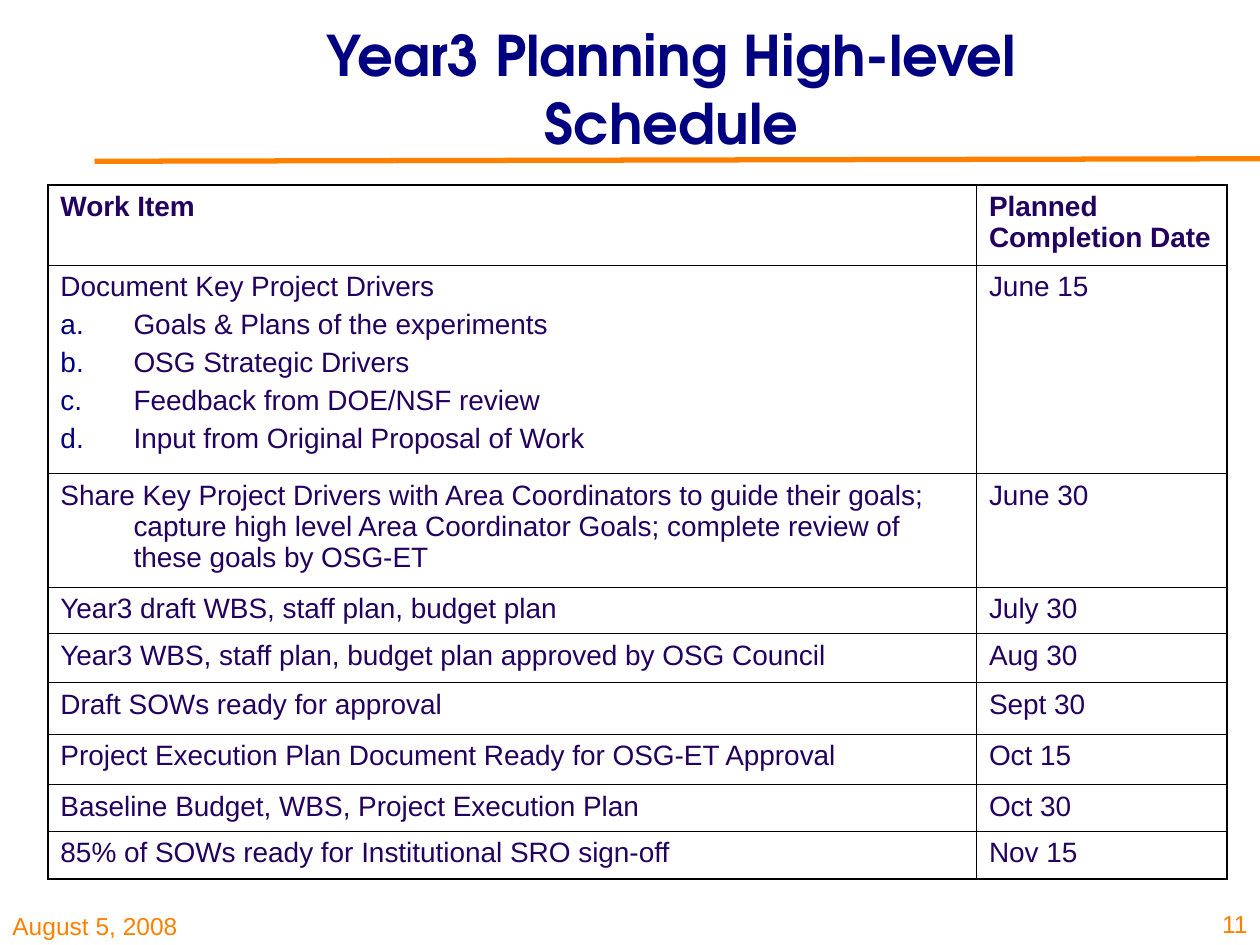
from lxml.etree import SubElement
from pptx import Presentation
from pptx.dml.color import RGBColor
from pptx.enum.shapes import MSO_CONNECTOR as Link
from pptx.enum.text import MSO_ANCHOR as Anchor, PP_ALIGN as Align
from pptx.oxml.ns import qn
from pptx.util import Inches, Pt

NAVY, PLUM, ORANGE, BLACK = "000080", "23005F", "FF8000", "000000"
THIN, THICK = 0.45, 1.08
HANG = 0.58

TEXTS = [
    ("August 5, 2008", (0, 7.09, 2.48, 0.42), Anchor.BOTTOM, Align.LEFT, 14, "Arial", ORANGE, False),
    ("Year3 Planning High-level Schedule", (1.53, 0.23, 7.6, 0.94), Anchor.MIDDLE, Align.CENTER,
     32, "TeX Gyre Adventor", NAVY, True),
    ("11", (9.54, 7, 0.46, 0.5), Anchor.BOTTOM, Align.RIGHT, 14, "Arial", ORANGE, False),
]
COLS = [7.37, 1.99]
ROWS = [
    (0.63, "Work Item", "Planned Completion Date"),
    (1.65, "Document Key Project Drivers\nGoals & Plans of the experiments\nOSG Strategic Drivers\n"
           "Feedback from DOE/NSF review\nInput from Original Proposal of Work", "June 15"),
    (0.9, "Share Key Project Drivers with Area Coordinators to guide their goals; capture high level "
          "Area Coordinator Goals; complete review of these goals by OSG-ET", "June 30"),
    (0.37, "Year3 draft WBS, staff plan, budget plan", "July 30"),
    (0.39, "Year3 WBS, staff plan, budget plan approved by OSG Council", "Aug 30"),
    (0.41, "Draft SOWs ready for approval", "Sept 30"),
    (0.4, "Project Execution Plan Document Ready for OSG-ET Approval", "Oct 15"),
    (0.37, "Baseline Budget, WBS, Project Execution Plan", "Oct 30"),
    (0.38, "85% of SOWs ready for Institutional SRO sign-off", "Nov 15"),
]
HANGING = {1, 2}


def rgb(code):
    return RGBColor.from_string(code)


def style(para, size, face, color, bold):
    font = para.font
    font.size, font.name, font.bold = Pt(size), face, bold
    font.color.rgb = rgb(color)


def add_text(slide, text, place, anchor, align, *look):
    frame = slide.shapes.add_textbox(*map(Inches, place)).text_frame
    frame.word_wrap = True
    frame.vertical_anchor = anchor
    frame.text = text
    para = frame.paragraphs[0]
    para.alignment = align
    style(para, *look)


def add_rule(slide):
    rule = slide.shapes.add_connector(Link.STRAIGHT, *map(Inches, (0.75, 1.28, 10, 1.26)))
    rule.line.color.rgb = rgb(ORANGE)
    rule.line.width = Pt(3)
    SubElement(rule.element.spPr, qn("a:effectLst"))


def add_edges(cell, widths):
    props = cell._tc.get_or_add_tcPr()
    for spot, (side, width) in enumerate(widths.items()):
        edge = props.makeelement(qn(f"a:ln{side}"), {"w": str(Pt(width))})
        fill = SubElement(edge, qn("a:solidFill"))
        SubElement(fill, qn("a:srgbClr"), val=BLACK)
        props.insert(spot, edge)


def add_letter(para):
    props = para._p.get_or_add_pPr()
    tint = SubElement(props, qn("a:buClr"))
    SubElement(tint, qn("a:srgbClr"), val=NAVY)
    SubElement(props, qn("a:buAutoNum"), type="alphaLcPeriod")


def fill_cell(cell, text, row, col):
    cell.fill.background()
    cell.margin_left = cell.margin_right = Inches(0.1)
    cell.margin_top = cell.margin_bottom = Inches(0.05)
    cell.text_frame.text = text
    for spot, para in enumerate(cell.text_frame.paragraphs):
        if row in HANGING and col == 0:
            props = para._p.get_or_add_pPr()
            props.set("marL", str(Inches(HANG)))
            props.set("indent", str(-Inches(HANG)))
        if spot:
            para.space_before = Pt(4)
            add_letter(para)
        style(para, 16, "Arial", PLUM, row == 0)
    outer = {"L": col == 0, "R": col == len(COLS) - 1, "T": row == 0, "B": row == len(ROWS) - 1}
    add_edges(cell, {side: THICK if out else THIN for side, out in outer.items()})


def add_plan(slide):
    high = sum(row[0] for row in ROWS)
    place = map(Inches, (0.38, 1.47, sum(COLS), high))
    table = slide.shapes.add_table(len(ROWS), len(COLS), *place).table
    table.first_row = table.horz_banding = False
    for col, width in enumerate(COLS):
        table.columns[col].width = Inches(width)
    for row, (height, *texts) in enumerate(ROWS):
        table.rows[row].height = Inches(height)
        for col, text in enumerate(texts):
            fill_cell(table.cell(row, col), text, row, col)


def main():
    deck = Presentation()
    deck.slide_width, deck.slide_height = Inches(10), Inches(7.5)
    slide = deck.slides.add_slide(deck.slide_layouts[6])
    add_rule(slide)
    for item in TEXTS:
        add_text(slide, *item)
    add_plan(slide)
    deck.save("out.pptx")


if __name__ == "__main__":
    main()
